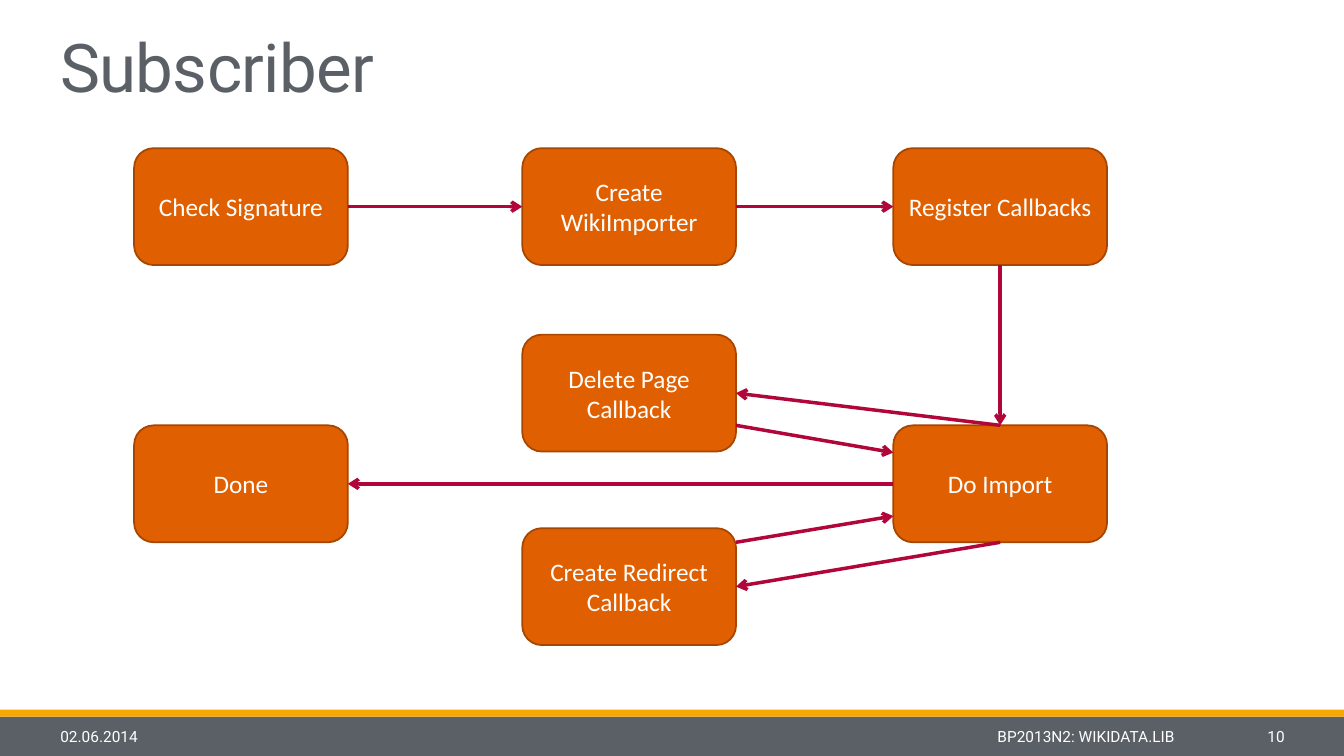
from pptx import Presentation
from pptx.dml.color import RGBColor
from pptx.enum.shapes import MSO_CONNECTOR, MSO_SHAPE
from pptx.enum.text import MSO_ANCHOR, PP_ALIGN
from pptx.oxml.ns import qn
from pptx.util import Inches, Pt
from lxml.etree import SubElement


def color(value):
    return RGBColor.from_string(value)


def write(shape, text, size, font, ink, align, anchor):
    frame = shape.text_frame
    frame.word_wrap = True
    frame.vertical_anchor = anchor
    paragraph = frame.paragraphs[0]
    paragraph.alignment = align
    run = paragraph.add_run()
    run.text = text
    run.font.size = Pt(size)
    run.font.name = font
    run.font.color.rgb = color(ink)
    return paragraph


presentation = Presentation()
presentation.slide_width = Inches(13.33)
presentation.slide_height = Inches(7.5)
slide = presentation.slides.add_slide(presentation.slide_layouts[5])

# Footer bands
BAND_TOP, BAND_HEIGHT = 7.11, 0.39
for top, height, fill in [(BAND_TOP, BAND_HEIGHT, "5A6065"), (7.04, 0.07, "F6A800")]:
    band = slide.shapes.add_shape(
        MSO_SHAPE.RECTANGLE, 0, Inches(top), presentation.slide_width, Inches(height))
    band.shadow.inherit = False
    band.fill.solid()
    band.fill.fore_color.rgb = color(fill)
    band.line.fill.background()

# Title
title = slide.shapes.title
title.left, title.top, title.width, title.height = map(Inches, (0.5, 0, 11.04, 1.1))
paragraph = write(title, "Subscriber", 48, "Roboto", "5A6065", PP_ALIGN.LEFT, MSO_ANCHOR.BOTTOM)
paragraph.line_spacing = 0.85
paragraph.runs[0].font._element.set("spc", "-50")

# Steps on three columns
BOX_WIDTH, BOX_HEIGHT = 2.12, 1.16
LEFT, MIDDLE, RIGHT = 1.33, 5.18, 8.86
FIRST_ROW, MAIN_ROW = 1.47, 4.22
steps = {}
for text, x, y in [
    ("Check Signature", LEFT, FIRST_ROW),
    ("Create WikiImporter", MIDDLE, FIRST_ROW),
    ("Register Callbacks", RIGHT, FIRST_ROW),
    ("Do Import", RIGHT, MAIN_ROW),
    ("Create Redirect Callback", MIDDLE, 5.24),
    ("Delete Page Callback", MIDDLE, 3.32),
    ("Done", LEFT, MAIN_ROW),
]:
    box = slide.shapes.add_shape(
        MSO_SHAPE.ROUNDED_RECTANGLE, Inches(x), Inches(y), Inches(BOX_WIDTH), Inches(BOX_HEIGHT))
    box.shadow.inherit = False
    box.fill.solid()
    box.fill.fore_color.rgb = color("E05F00")
    box.line.color.rgb = color("A64600")
    box.line.width = Pt(1.25)
    write(box, text, 18, "Calibri", "FFFFFF", PP_ALIGN.CENTER, MSO_ANCHOR.MIDDLE)
    steps[text] = box

# Arrows glued to the sides of the steps
TOP_SIDE, LEFT_SIDE, BOTTOM_SIDE, RIGHT_SIDE = range(4)
arrows = []
for source, source_side, target, target_side in [
    ("Check Signature", RIGHT_SIDE, "Create WikiImporter", LEFT_SIDE),
    ("Create WikiImporter", RIGHT_SIDE, "Register Callbacks", LEFT_SIDE),
    ("Register Callbacks", BOTTOM_SIDE, "Do Import", TOP_SIDE),
    ("Do Import", LEFT_SIDE, "Done", RIGHT_SIDE),
    ("Do Import", BOTTOM_SIDE, "Create Redirect Callback", RIGHT_SIDE),
    ("Do Import", TOP_SIDE, "Delete Page Callback", RIGHT_SIDE),
]:
    arrow = slide.shapes.add_connector(MSO_CONNECTOR.STRAIGHT, 0, 0, 0, 0)
    arrow.begin_connect(steps[source], source_side)
    arrow.end_connect(steps[target], target_side)
    arrows.append(arrow)

# Arrows returning from the callbacks, between the glue points
for start_y, end_y in [(MAIN_ROW + BOX_HEIGHT, 5.12), (MAIN_ROW, 4.49)]:
    arrows.append(slide.shapes.add_connector(
        MSO_CONNECTOR.STRAIGHT, Inches(MIDDLE + BOX_WIDTH), Inches(start_y),
        Inches(RIGHT), Inches(end_y)))

for arrow in arrows:
    arrow.line.color.rgb = color("B1063A")
    arrow.line.width = Pt(2.5)
    SubElement(arrow.line._get_or_add_ln(), qn("a:tailEnd"), type="arrow")
    SubElement(arrow._element.spPr, qn("a:effectLst"))

# Footer texts
for text, x, width, align in [
    ("02.06.2014", 0.5, 1.05, PP_ALIGN.LEFT),
    ("BP2013N2: WIKIDATA.LIB", 1.59, 10.16, PP_ALIGN.RIGHT),
    ("10", 11.79, 1.05, PP_ALIGN.RIGHT),
]:
    footer = slide.shapes.add_textbox(
        Inches(x), Inches(BAND_TOP), Inches(width), Inches(BAND_HEIGHT))
    write(footer, text, 11, "Roboto", "FFFFFF", align, MSO_ANCHOR.MIDDLE)

presentation.save("out.pptx")
